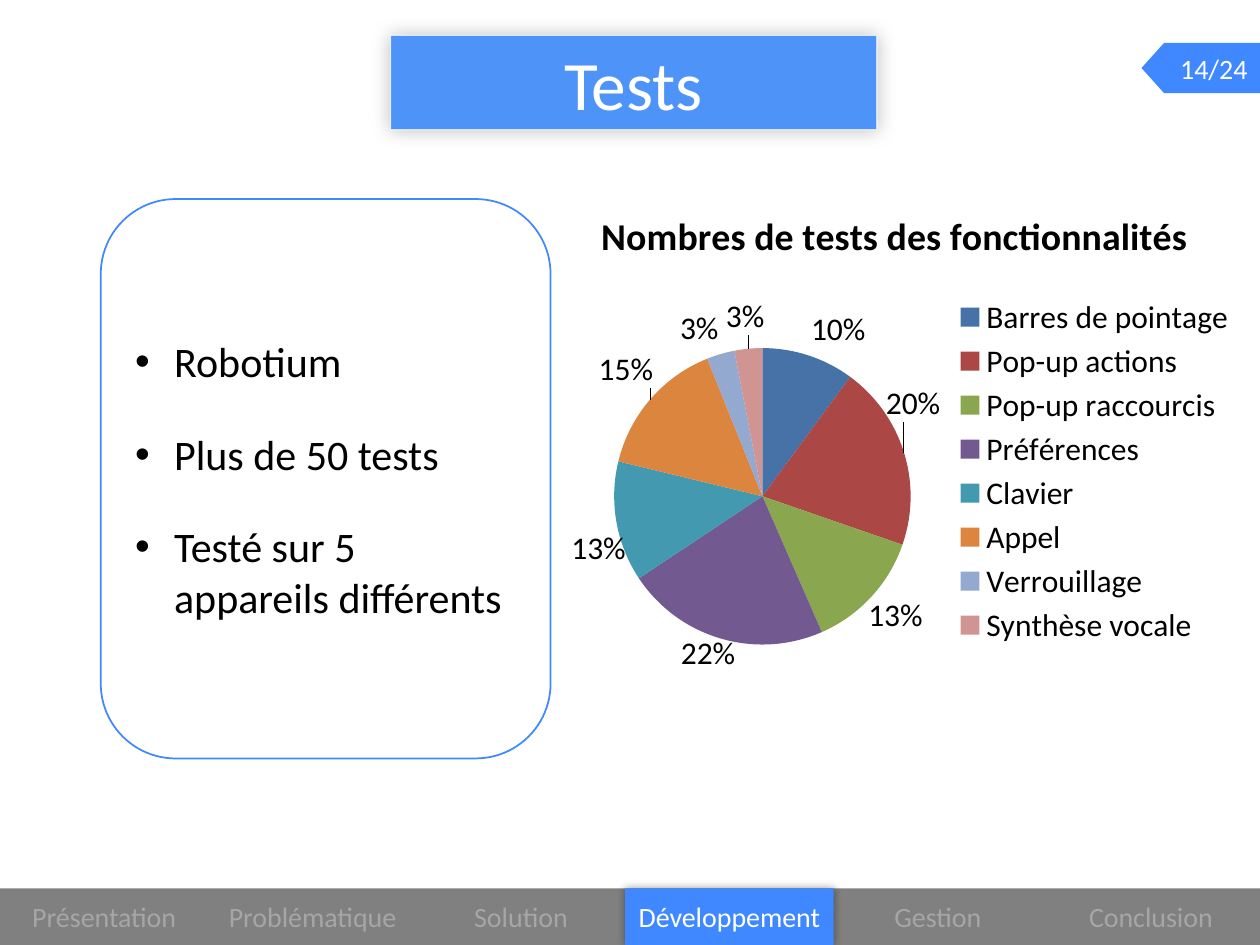
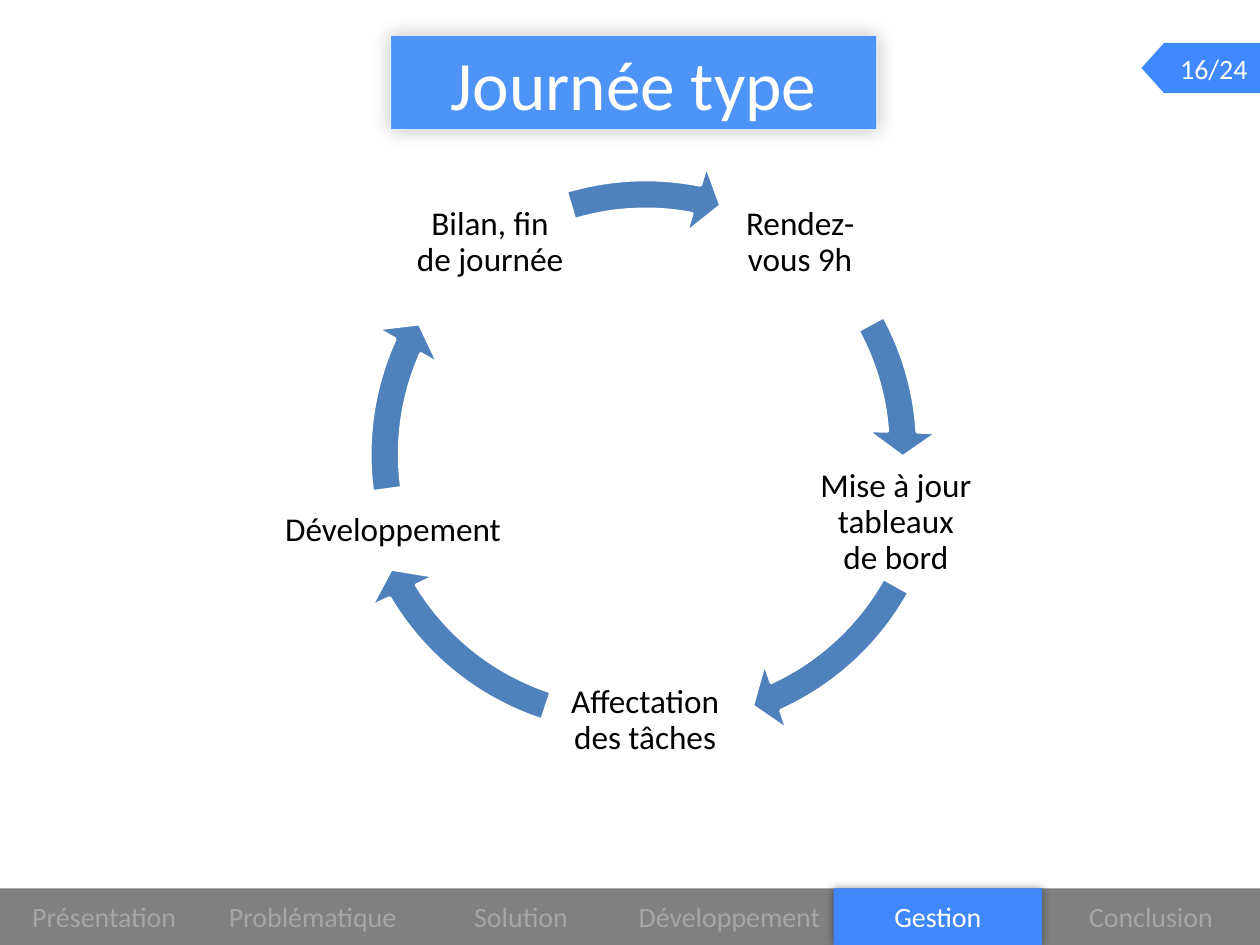
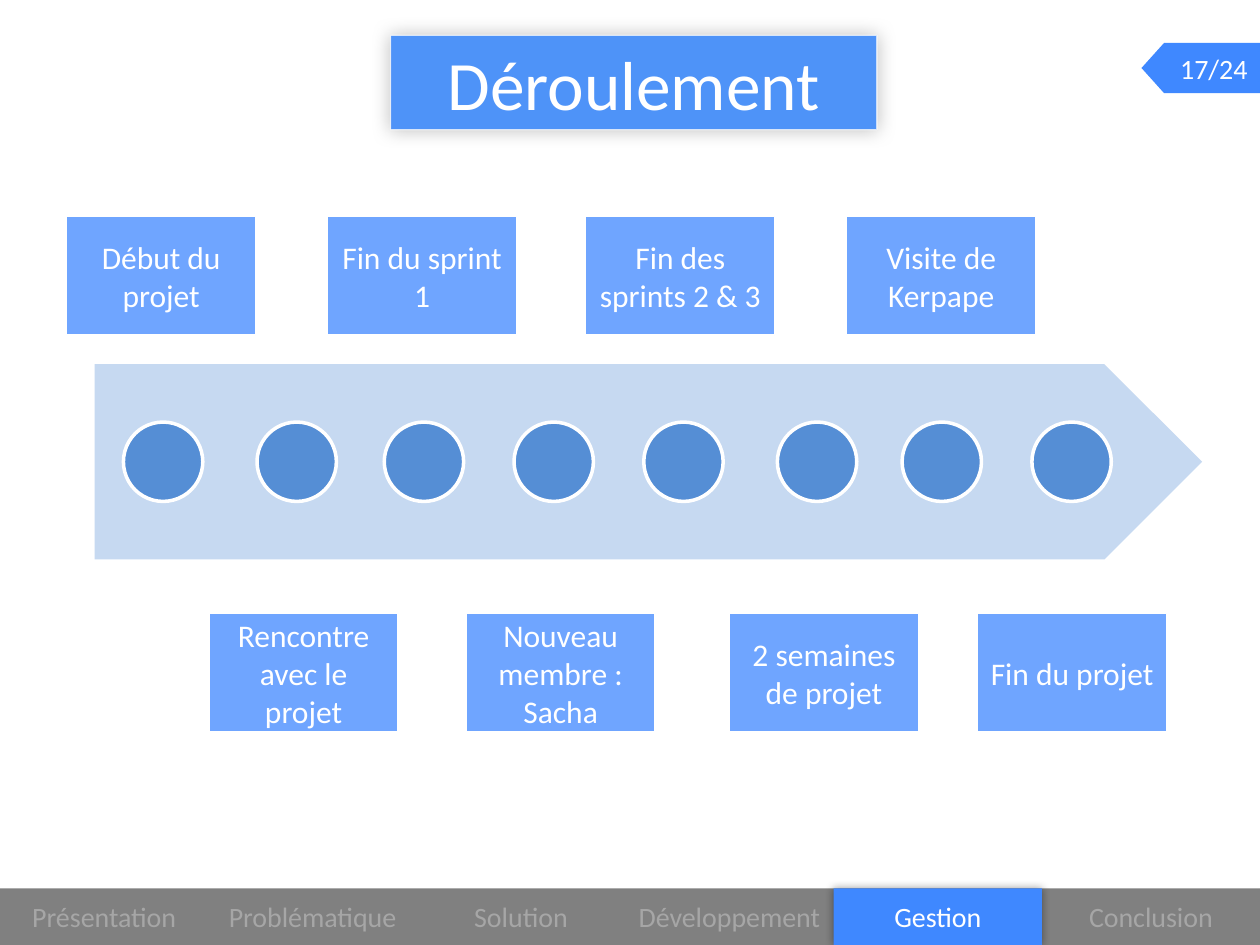
from dataclasses import dataclass
from typing import Optional

from pptx import Presentation
from pptx.chart.data import CategoryChartData
from pptx.dml.color import RGBColor
from pptx.enum.chart import XL_CHART_TYPE, XL_LABEL_POSITION, XL_LEGEND_POSITION
from pptx.enum.shapes import MSO_SHAPE
from pptx.enum.text import MSO_ANCHOR, MSO_AUTO_SIZE, PP_ALIGN
from pptx.oxml import parse_xml
from pptx.oxml.ns import nsdecls, qn
from pptx.util import Inches, Pt

FONT = "Calibri"
COLORS = {
    "accent": "3F88FF",
    "title": "4E93F8",
    "band": "808080",
    "muted": "A6A6A6",
    "white": "FFFFFF",
    "black": "000000",
    "cycle": "4F81BD",
    "timeline": "C6D9F1",
    "dot": "558ED5",
}
SLIDE_WIDTH = 10
SECTIONS = ["Présentation", "Problématique", "Solution",
            "Développement", "Gestion", "Conclusion"]
TAB_STEP = 8.27 / 5
BAND_TOP, BAND_HEIGHT = 7.05, 0.45
TOTAL_PAGES = 24


@dataclass
class Box:
    left: float
    top: float
    width: float
    height: float

    def lengths(self) -> tuple:
        return tuple(Inches(v) for v in (self.left, self.top, self.width, self.height))


@dataclass
class Slice:
    feature: str
    tests: int
    color: str
    label_shift: Optional[tuple] = None


@dataclass
class CycleStep:
    label: str
    box: Box


@dataclass
class CycleArrow:
    left: float
    top: float
    head_degrees: float
    tail_degrees: float


@dataclass
class Milestone:
    label: str
    box_left: float
    dot_left: float


SLICES = [
    Slice("Barres de pointage", 10, "4672A8"),
    Slice("Pop-up actions", 20, "AB4744", (-0.03, -0.05)),
    Slice("Pop-up raccourcis", 13, "8AA64F", (-0.01, -0.01)),
    Slice("Préférences", 22, "725990", (0.02, -0.02)),
    Slice("Clavier", 13, "4299B0", (0.02, 0.01)),
    Slice("Appel", 15, "DC853E", (0.01, -0.01)),
    Slice("Verrouillage", 3, "93A9CF"),
    Slice("Synthèse vocale", 3, "D09493", (0.02, -0.01)),
]
CYCLE_STEPS = [
    CycleStep("Rendez-vous 9h", Box(5.72, 1.3, 1.26, 1.26)),
    CycleStep("Mise à jour tableaux de bord", Box(6.48, 3.63, 1.26, 1.04)),
    CycleStep("Affectation des tâches", Box(4.49, 5.09, 1.26, 1.26)),
    CycleStep("Développement", Box(2.17, 3.89, 1.9, 0.64)),
    CycleStep("Bilan, fin de journée", Box(3.26, 1.3, 1.26, 1.26)),
]
CYCLE_ARROWS = [
    CycleArrow(2.72, 1.2, 356.14, 331.39),
    CycleArrow(2.93, 1.27, 65.44, 29.09),
    CycleArrow(2.62, 1.26, 149.06, 108.09),
    CycleArrow(2.77, 1.24, 204.26, 172.19),
    CycleArrow(2.76, 1.26, 281.09, 253.31),
]
MILESTONES = [
    Milestone("Début du projet", 0.53, 0.98),
    Milestone("Rencontre avec le projet", 1.66, 2.04),
    Milestone("Fin du sprint 1", 2.6, 3.05),
    Milestone("Nouveau membre : Sacha", 3.7, 4.08),
    Milestone("Fin des sprints 2 & 3", 4.65, 5.11),
    Milestone("2 semaines de projet", 5.79, 6.17),
    Milestone("Visite de Kerpape", 6.72, 7.16),
    Milestone("Fin du projet", 7.76, 8.19),
]


# Shared formatting
def rgb(name: str) -> RGBColor:
    return RGBColor.from_string(COLORS[name])


def style(shape, fill: Optional[str] = None, line: Optional[str] = None,
          line_width: float = 0.75) -> None:
    shape.shadow.inherit = False
    if fill:
        shape.fill.solid()
        shape.fill.fore_color.rgb = rgb(fill)
    else:
        shape.fill.background()
    if line:
        shape.line.color.rgb = rgb(line)
        shape.line.width = Pt(line_width)
    else:
        shape.line.fill.background()


def set_opacity(shape, percent: int, part: str = "a:solidFill") -> None:
    steps = [qn(tag) for tag in (*part.split("/"), "a:srgbClr")]
    color = shape.element.spPr.find("/".join(steps))
    color.append(parse_xml(f'<a:alpha {nsdecls("a")} val="{percent * 1000}"/>'))


def add_glow_shadow(shape, blur: float, percent: int) -> None:
    shape.element.spPr.find(qn("a:effectLst")).append(parse_xml(
        f'<a:outerShdw {nsdecls("a")} blurRad="{Pt(blur)}" dist="0" dir="0" '
        f'algn="ctr" rotWithShape="0"><a:srgbClr val="{COLORS["black"]}">'
        f'<a:alpha val="{percent * 1000}"/></a:srgbClr></a:outerShdw>'))


def add_run(paragraph, text: str, size: float, color: str) -> None:
    run = paragraph.add_run()
    run.text = text
    run.font.name = FONT
    run.font.size = Pt(size)
    run.font.color.rgb = rgb(color)


def write(shape, text: str, size: float, color: str = "white",
          align=PP_ALIGN.CENTER, inset: Optional[float] = None):
    frame = shape.text_frame
    frame.word_wrap = True
    frame.auto_size = MSO_AUTO_SIZE.NONE
    frame.vertical_anchor = MSO_ANCHOR.MIDDLE
    if inset is not None:
        frame.margin_left = frame.margin_right = Inches(inset)
        frame.margin_top = frame.margin_bottom = Inches(inset)
    paragraph = frame.paragraphs[0]
    paragraph.alignment = align
    add_run(paragraph, text, size, color)
    return paragraph


def add_preset(slide, preset, box: Box, fill: Optional[str] = None,
               line: Optional[str] = None, line_width: float = 0.75):
    shape = slide.shapes.add_shape(preset, *box.lengths())
    style(shape, fill, line, line_width)
    return shape


# Slide frame: title, page tag and section band
def add_title(slide, text: str) -> None:
    title = slide.shapes.title
    title.left, title.top, title.width, title.height = Box(3.1, 0.28, 3.86, 0.75).lengths()
    style(title, "title", "white")
    set_opacity(title, 70, "a:ln/a:solidFill")
    add_glow_shadow(title, 11, 25)
    write(title, text, 39.6)


def add_page_tag(slide, page: int) -> None:
    outline = [(SLIDE_WIDTH, 0.34), (SLIDE_WIDTH, 0.74), (9.24, 0.74), (9.06, 0.54)]
    builder = slide.shapes.build_freeform(Inches(9.24), Inches(0.34))
    builder.add_line_segments([(Inches(x), Inches(y)) for x, y in outline], close=True)
    tag = builder.convert_to_shape()
    style(tag, "accent")
    write(tag, f"{page}/{TOTAL_PAGES}", 16, align=PP_ALIGN.RIGHT)


def add_section_band(slide, current: str) -> None:
    add_preset(slide, MSO_SHAPE.RECTANGLE,
               Box(0, BAND_TOP, SLIDE_WIDTH, BAND_HEIGHT), "band")
    for index, section in enumerate(SECTIONS):
        left = index * TAB_STEP
        is_last = index == len(SECTIONS) - 1
        box = Box(left, BAND_TOP, SLIDE_WIDTH - left if is_last else TAB_STEP, BAND_HEIGHT)
        if section == current:
            tab = add_preset(slide, MSO_SHAPE.RECTANGLE, box, "accent")
            add_glow_shadow(tab, 5, 40)
        else:
            tab = slide.shapes.add_textbox(*box.lengths())
        write(tab, section, 16, "white" if section == current else "muted", inset=0.05)


def new_slide(deck, title: str, page: int, section: str):
    slide = deck.slides.add_slide(deck.slide_layouts[5])
    add_section_band(slide, section)
    add_title(slide, title)
    add_page_tag(slide, page)
    return slide


# Tests: bullet panel and pie chart
def add_bullet_panel(slide, bullets: list) -> None:
    panel = add_preset(slide, MSO_SHAPE.ROUNDED_RECTANGLE,
                       Box(0.8, 1.58, 3.57, 4.44), line="accent", line_width=1)
    frame = panel.text_frame
    frame.word_wrap = True
    frame.vertical_anchor = MSO_ANCHOR.MIDDLE
    for index, bullet in enumerate(bullets):
        paragraph = frame.add_paragraph() if index else frame.paragraphs[0]
        properties = paragraph._p.get_or_add_pPr()
        properties.set("marL", str(Inches(0.31)))
        properties.set("indent", str(-Inches(0.31)))
        properties.append(parse_xml(f'<a:buFont {nsdecls("a")} typeface="Arial"/>'))
        properties.append(parse_xml(f'<a:buChar {nsdecls("a")} char="•"/>'))
        paragraph.alignment = PP_ALIGN.LEFT
        if index:
            paragraph.space_before = Pt(6)
        paragraph.space_after = Pt(18)
        add_run(paragraph, bullet, 24, "black")


def manual_layout(x: float, y: float, size: Optional[tuple] = None,
                  edge: bool = True, inner: bool = False):
    parts = '<c:layoutTarget val="inner"/>' if inner else ""
    if edge:
        parts += '<c:xMode val="edge"/><c:yMode val="edge"/>'
    parts += f'<c:x val="{x}"/><c:y val="{y}"/>'
    if size:
        parts += f'<c:w val="{size[0]}"/><c:h val="{size[1]}"/>'
    return parse_xml(f'<c:layout {nsdecls("c")}><c:manualLayout>{parts}'
                     '</c:manualLayout></c:layout>')


def replace_layout(part, layout) -> None:
    for old in part.findall(qn("c:layout")):
        part.remove(old)
    overlay = part.find(qn("c:overlay"))
    if overlay is None:
        part.insert(0, layout)
    else:
        overlay.addprevious(layout)


def shifted_label(index: int, shift: tuple):
    flags = "".join(f'<c:show{flag} val="{int(flag == "Percent")}"/>' for flag in
                    ("LegendKey", "Val", "CatName", "SerName", "Percent", "BubbleSize"))
    label = parse_xml(f'<c:dLbl {nsdecls("c")}><c:idx val="{index}"/>'
                      '<c:numFmt formatCode="0%" sourceLinked="0"/>'
                      f'<c:dLblPos val="outEnd"/>{flags}</c:dLbl>')
    label.insert(1, manual_layout(*shift, edge=False))
    return label


def set_chart_font(font, size: float = 18, bold: bool = False) -> None:
    font.name = FONT
    font.size = Pt(size)
    font.bold = bold
    font.color.rgb = rgb("black")


def add_tests_pie(slide) -> None:
    heading = "Nombres de tests des fonctionnalités"
    data = CategoryChartData()
    data.categories = [part.feature for part in SLICES]
    data.add_series(heading, [part.tests for part in SLICES])
    chart = slide.shapes.add_chart(XL_CHART_TYPE.PIE,
                                   *Box(3.25, 1.52, 6.67, 4.44).lengths(), data).chart
    set_chart_font(chart.font)

    chart.has_title = True
    heading_run = chart.chart_title.text_frame.paragraphs[0].add_run()
    heading_run.text = heading
    set_chart_font(heading_run.font, size=21.6, bold=True)
    chart.has_legend = True
    chart.legend.position = XL_LEGEND_POSITION.RIGHT
    chart.legend.include_in_layout = False
    set_chart_font(chart.legend.font)

    for tag, layout in (
        ("c:title", manual_layout(0.22, 0.02)),
        ("c:plotArea", manual_layout(0.22, 0.28, (0.4, 0.53), inner=True)),
        ("c:legend", manual_layout(0.64, 0.18, (0.35, 0.64))),
    ):
        replace_layout(chart.element.find(f".//{qn(tag)}"), layout)

    chart.plots[0].vary_by_categories = True
    series = chart.plots[0].series[0]
    labels = series.data_labels
    labels.show_value = False
    labels.show_percentage = True
    labels.number_format = "0%"
    labels.number_format_is_linked = False
    labels.position = XL_LABEL_POSITION.OUTSIDE_END
    set_chart_font(labels.font)
    shifted = []
    for index, part in enumerate(SLICES):
        fill = series.points[index].format.fill
        fill.solid()
        fill.fore_color.rgb = RGBColor.from_string(part.color)
        if part.label_shift:
            shifted.append(shifted_label(index, part.label_shift))
    label_group = series._element.find(qn("c:dLbls"))
    for position, label in enumerate(shifted):
        label_group.insert(position, label)


# Typical day: cycle of steps
def add_cycle(slide) -> None:
    for arrow in CYCLE_ARROWS:
        shape = add_preset(slide, MSO_SHAPE.CIRCULAR_ARROW,
                           Box(arrow.left, arrow.top, 4.73, 4.73), "cycle", "white", 2)
        # Angles are stored in 60000ths of a degree, adjustments in 100000ths
        angles = [degrees * 0.6 for degrees in (5.6, arrow.head_degrees, arrow.tail_degrees)]
        for index, value in enumerate([0.05, *angles, 0.06]):
            shape.adjustments[index] = value
    for step in CYCLE_STEPS:
        caption = slide.shapes.add_textbox(*step.box.lengths())
        write(caption, step.label, 19, "black", inset=0.03).line_spacing = 0.9


# Progress: timeline with milestones alternating above and below
def add_timeline(slide) -> None:
    add_preset(slide, MSO_SHAPE.PENTAGON, Box(0.75, 2.89, 8.79, 1.55), "timeline")
    for index, milestone in enumerate(MILESTONES):
        add_preset(slide, MSO_SHAPE.OVAL, Box(milestone.dot_left, 3.35, 0.63, 0.63),
                   "dot", "white", 2)
        top = 4.87 if index % 2 else 1.72
        event = add_preset(slide, MSO_SHAPE.RECTANGLE,
                           Box(milestone.box_left, top, 1.5, 0.94), "accent", "white")
        set_opacity(event, 75)
        write(event, milestone.label, 18)


def main() -> None:
    deck = Presentation()
    deck.slide_width, deck.slide_height = Inches(SLIDE_WIDTH), Inches(7.5)

    tests = new_slide(deck, "Tests", 14, "Développement")
    add_bullet_panel(tests, ["Robotium", "Plus de 50 tests",
                             "Testé sur 5 appareils différents"])
    add_tests_pie(tests)

    add_cycle(new_slide(deck, "Journée type", 16, "Gestion"))
    add_timeline(new_slide(deck, "Déroulement", 17, "Gestion"))

    deck.save("out.pptx")


if __name__ == "__main__":
    main()
